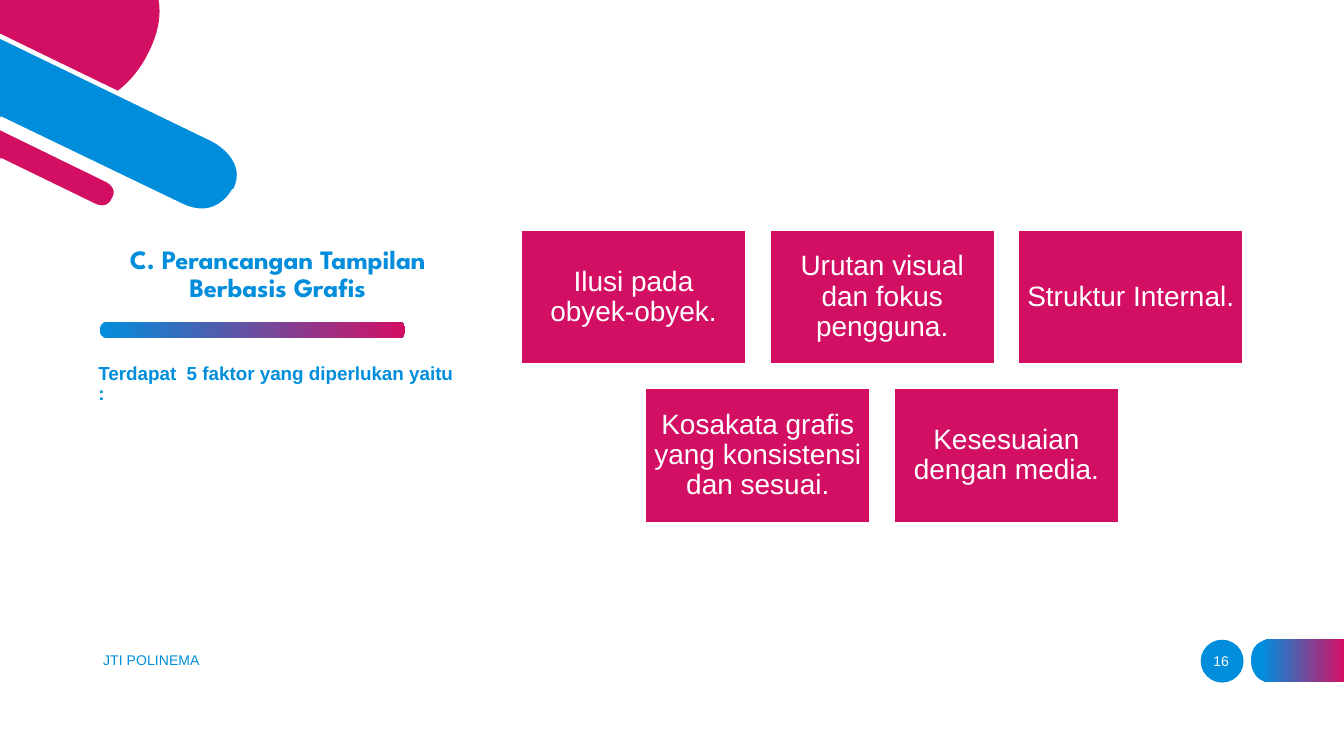
from pptx import Presentation
from pptx.dml.color import RGBColor
from pptx.enum.shapes import MSO_SHAPE as Shape
from pptx.enum.text import MSO_ANCHOR as Anchor, PP_ALIGN as Align
from pptx.util import Pt
from lxml.etree import SubElement
from pptx.oxml.ns import qn

BLUE, RED, WHITE = "008EDC", "D30F64", "FFFFFF"
CURVE_STEPS = 16


def color(value):
    return RGBColor.from_string(value)


def outline_points(steps):
    """Turn (x, y) corners and six-number Bezier steps into plain points."""
    points = []
    for step in steps:
        if len(step) == 2:
            points.append(step)
            continue
        corners = [points[-1], step[:2], step[2:4], step[4:]]
        for i in range(1, CURVE_STEPS + 1):
            t = i / CURVE_STEPS
            weights = ((1 - t) ** 3, 3 * t * (1 - t) ** 2, 3 * t * t * (1 - t), t ** 3)
            points.append(tuple(sum(w * c[axis] for w, c in zip(weights, corners))
                                for axis in (0, 1)))
    return points


class SlideBuilder:
    font_name = "Arial"

    def __init__(self, slide):
        self.slide = slide

    def paint(self, shape, fill, line=None, width=0):
        shape.shadow.inherit = False
        if isinstance(fill, dict):
            shape.fill.gradient()
            shape.fill.gradient_angle = 0
            for stop, (position, value) in zip(shape.fill.gradient_stops, fill.items()):
                stop.position = position
                stop.color.rgb = color(value)
        else:
            shape.fill.solid()
            shape.fill.fore_color.rgb = color(fill)
        if line:
            shape.line.color.rgb = color(line)
            shape.line.width = Pt(width)
        else:
            shape.line.fill.background()
        return shape

    def shape(self, kind, box, fill, **line):
        shape = self.slide.shapes.add_shape(kind, *map(Pt, box))
        return self.paint(shape, fill, **line)

    def freeform(self, steps, fill, close=True, **line):
        points = [(Pt(x), Pt(y)) for x, y in outline_points(steps)]
        builder = self.slide.shapes.build_freeform(*points[0])
        builder.add_line_segments(points[1:], close=close)
        return self.paint(builder.convert_to_shape(), fill, **line)

    def set_text(self, shape, text, size, value, align=Align.LEFT, anchor=Anchor.MIDDLE,
                 insets=(7.2, 3.6), spacing=1.0, bold=False, font=None, bullet=True):
        frame = shape.text_frame
        across, down = map(Pt, insets)
        frame_format = {"word_wrap": True, "vertical_anchor": anchor,
                        "margin_left": across, "margin_right": across,
                        "margin_top": down, "margin_bottom": down}
        for name, setting in frame_format.items():
            setattr(frame, name, setting)
        paragraph = frame.paragraphs[0]
        paragraph.text = text
        paragraph_format = {"alignment": align, "line_spacing": spacing,
                            "space_before": Pt(0), "space_after": Pt(0)}
        for name, setting in paragraph_format.items():
            setattr(paragraph, name, setting)
        if not bullet:
            properties = paragraph._p.get_or_add_pPr()
            properties.set("marL", "0")
            properties.set("indent", "0")
            SubElement(properties, qn("a:buNone"))
        run_font = paragraph.runs[0].font
        font_format = {"name": font or self.font_name, "size": Pt(size), "bold": bold}
        for name, setting in font_format.items():
            setattr(run_font, name, setting)
        run_font.color.rgb = color(value)

    def text(self, box, text, size, value, **style):
        self.set_text(self.slide.shapes.add_textbox(*map(Pt, box)), text, size, value, **style)

    def placeholder(self, index, box, text, size, value, **style):
        shape = self.slide.placeholders[index]
        shape.left, shape.top, shape.width, shape.height = map(Pt, box)
        self.set_text(shape, text, size, value, **style)


def main():
    presentation = Presentation()
    presentation.slide_width, presentation.slide_height = Pt(720), Pt(405)
    builder = SlideBuilder(presentation.slides.add_slide(presentation.slide_layouts[1]))

    # Corner decoration: open outlines leave the slide edge unstroked
    builder.freeform([(0, 0), (85, 0), (86.4, 7.9, 85, 18, 79.2, 28.8), (78.5, 30.2),
                      (78.5, 30.2, 73.4, 41, 62.6, 49), (0, 18)], RED)
    gap_line = {"close": False, "line": WHITE, "width": 2.4}
    builder.freeform([(0, 68.4), (57.6, 96.5), (57.6, 96.5, 64.8, 100.1, 61.2, 106.6),
                      (60.8, 107.3), (60.8, 107.3, 58.3, 113.8, 50.4, 110.2),
                      (0, 85.7)], RED, **gap_line)
    builder.freeform([(0, 19.4), (114.5, 74.9), (114.5, 74.9, 134.6, 85, 126, 102.2),
                      (125.3, 102.2), (125.3, 102.2, 116.6, 119.5, 97.2, 110.2),
                      (0, 63.4)], BLUE, **gap_line)

    # Title, divider and lead text
    builder.placeholder(0, (48.2, 126, 201, 39.6), "C. Perancangan Tampilan Berbasis Grafis",
                        14.2, BLUE, align=Align.CENTER, anchor=Anchor.BOTTOM,
                        insets=(5, 2.9), spacing=0.9, bold=True, font="League Spartan")
    divider = builder.shape(Shape.ROUNDED_RECTANGLE, (53.5, 172.5, 163.7, 8.6),
                            {0: BLUE, 1: RED})
    divider.adjustments[0] = 0.42
    builder.placeholder(1, (47.7, 192.2, 201, 108.7),
                        "Terdapat  5 faktor yang diperlukan yaitu :", 10.1, BLUE,
                        anchor=Anchor.TOP, insets=(5, 2.9), spacing=0.9, bold=True,
                        bullet=False)

    # Factor cards, each row centred on the same axis
    rows = [["Ilusi pada obyek-obyek.", "Urutan visual dan fokus pengguna.",
             "Struktur Internal."],
            ["Kosakata grafis yang konsistensi dan sesuai.", "Kesesuaian dengan media."]]
    width, height, gap, center, top = 121, 72.5, 12.2, 472.6, 123
    for row, labels in enumerate(rows):
        left = center - (len(labels) * (width + gap) - gap) / 2
        for column, label in enumerate(labels):
            box = (left + column * (width + gap), top + row * (height + gap), width, height)
            card = builder.shape(Shape.RECTANGLE, box, RED, line=WHITE, width=1.5)
            builder.set_text(card, label, 15, WHITE, align=Align.CENTER,
                             insets=(4, 4), spacing=0.9)

    # Footer
    builder.text((48.2, 342.7, 243.4, 21.6), "JTI POLINEMA", 7.5, BLUE)
    builder.shape(Shape.OVAL, (643.2, 342.7, 23, 23), BLUE)
    builder.text((638, 343.4, 32.4, 21.6), "16", 7.5, WHITE, align=Align.CENTER)
    builder.freeform([(720, 342.4), (681, 342.4), (681, 342.4, 670.2, 342.4, 670.2, 353.5),
                      (670.2, 354.3), (670.2, 354.3, 670.2, 365.6, 681, 365.6),
                      (720, 365.6)], {0.12: BLUE, 1: RED})

    presentation.save("out.pptx")


if __name__ == "__main__":
    main()
